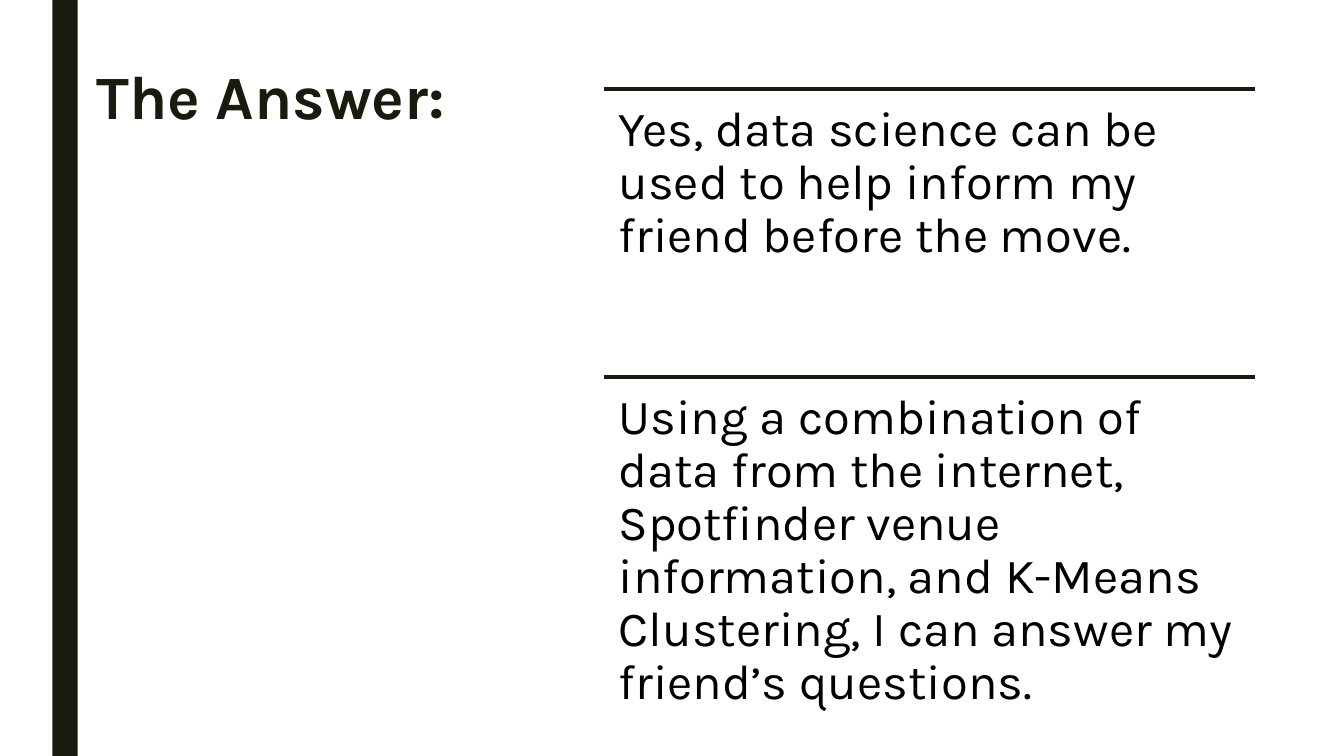
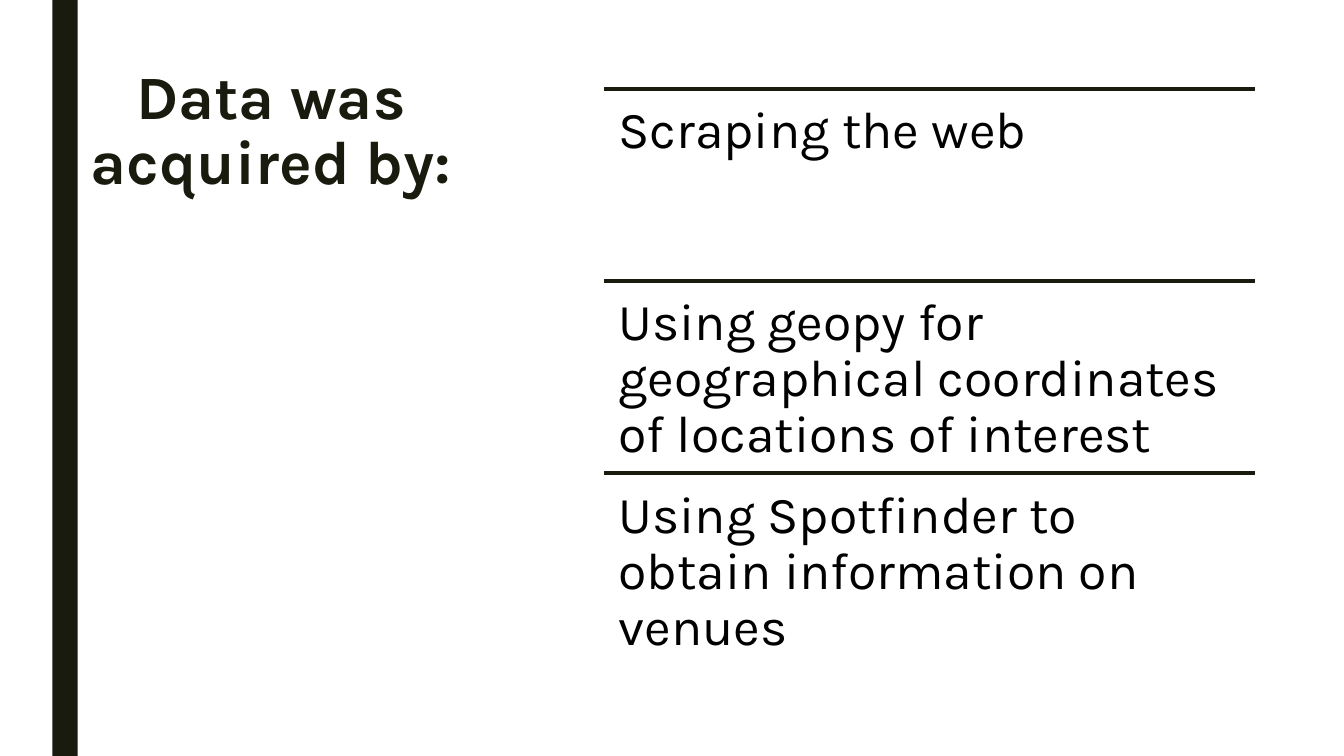
from pptx import Presentation
from pptx.dml.color import RGBColor
from pptx.enum.shapes import MSO_CONNECTOR, MSO_SHAPE
from pptx.enum.text import MSO_ANCHOR, PP_ALIGN
from pptx.oxml.ns import qn
from pptx.util import Cm, Pt
from lxml.etree import SubElement

DARK = RGBColor(0x19, 0x1B, 0x0E)
BLACK = RGBColor(0x00, 0x00, 0x00)
FONT = "Karla"

LIST_LEFT = 15.21
LIST_TOP = 2.24
LIST_WIDTH = 16.41
LIST_HEIGHT = 14.53

# Title, text size of the list, list entries
SLIDES = [
    ("The Answer:", 35, [
        "Yes, data science can be used to help inform my friend before the move.",
        "Using a combination of data from the internet, Spotfinder venue "
        "information, and K-Means Clustering, I can answer my friend’s questions.",
    ]),
    ("Data was acquired by:", 37, [
        "Scraping the web",
        "Using geopy for geographical coordinates of locations of interest",
        "Using Spotfinder to obtain information on venues",
    ]),
]


def add_text(page, text, left, top, width, height, size, color,
             bold=False, align=PP_ALIGN.LEFT, line_spacing=0.9, inset=None):
    box = page.shapes.add_textbox(Cm(left), Cm(top), Cm(width), Cm(height))
    frame = box.text_frame
    frame.word_wrap = True
    frame.vertical_anchor = MSO_ANCHOR.TOP
    if inset is not None:
        frame.margin_left = frame.margin_right = Cm(inset)
        frame.margin_top = frame.margin_bottom = Cm(inset)
    para = frame.paragraphs[0]
    para.alignment = align
    para.line_spacing = line_spacing
    span = para.add_run()
    span.text = text
    span.font.name = FONT
    span.font.size = Pt(size)
    span.font.bold = bold
    span.font.color.rgb = color


def add_rule(page, left, top, width):
    """Draw a horizontal line without a shadow."""
    rule = page.shapes.add_connector(
        MSO_CONNECTOR.STRAIGHT, Cm(left), Cm(top), Cm(left + width), Cm(top))
    rule.line.color.rgb = DARK
    rule.line.width = Pt(2.75)
    SubElement(rule._element.spPr, qn("a:effectLst"))


deck = Presentation()
deck.slide_width = Cm(33.87)
deck.slide_height = Cm(19.05)
blank = deck.slide_layouts[6]

for title, size, entries in SLIDES:
    page = deck.slides.add_slide(blank)

    band = page.shapes.add_shape(
        MSO_SHAPE.RECTANGLE, Cm(1.32), 0, Cm(0.64), deck.slide_height)
    band.shadow.inherit = False
    band.fill.solid()
    band.fill.fore_color.rgb = DARK
    band.line.fill.background()

    add_text(page, title, 1.6, 1.55, 10.46, 15.85, 44, DARK,
             bold=True, align=PP_ALIGN.CENTER, line_spacing=0.89)

    row_height = LIST_HEIGHT / len(entries)
    for index, entry in enumerate(entries):
        top = LIST_TOP + index * row_height
        add_rule(page, LIST_LEFT, top, LIST_WIDTH)
        add_text(page, entry, LIST_LEFT, top, LIST_WIDTH, row_height,
                 size, BLACK, inset=0.38)

deck.save("out.pptx")
